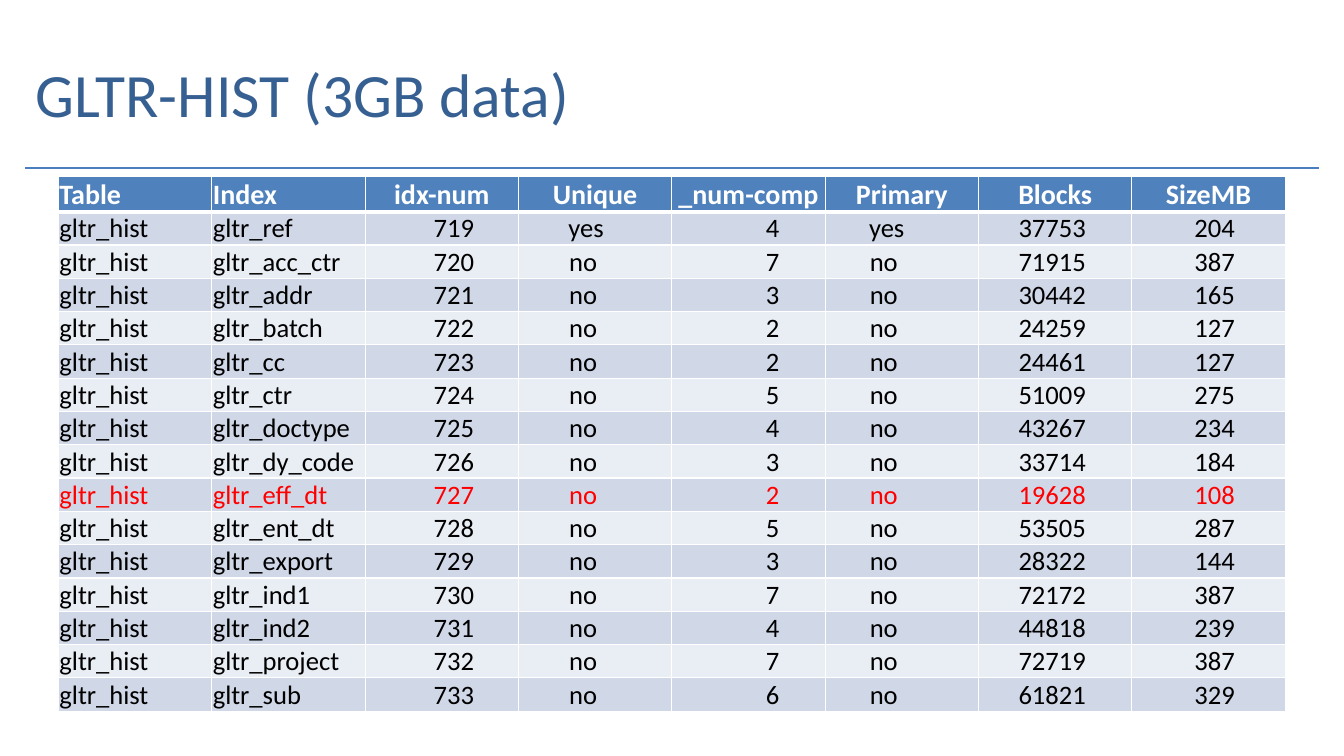
"""Build the GLTR-HIST index size slide."""
import pptx
import pptx.dml.color
import pptx.enum.text
import pptx.oxml
import pptx.oxml.ns
import pptx.util

TITLE = "GLTR-HIST (3GB data)"
TABLE_NAME = "gltr_hist"
HIGHLIGHTED_INDEX = "gltr_eff_dt"
FIRST_INDEX_NUMBER = 719
HEADERS = ["Table", "Index", "idx-num", "Unique", "_num-comp", "Primary", "Blocks", "SizeMB"]
INDEXES = [
    ("gltr_ref", "yes", 4, "yes", 37753, 204),
    ("gltr_acc_ctr", "no", 7, "no", 71915, 387),
    ("gltr_addr", "no", 3, "no", 30442, 165),
    ("gltr_batch", "no", 2, "no", 24259, 127),
    ("gltr_cc", "no", 2, "no", 24461, 127),
    ("gltr_ctr", "no", 5, "no", 51009, 275),
    ("gltr_doctype", "no", 4, "no", 43267, 234),
    ("gltr_dy_code", "no", 3, "no", 33714, 184),
    ("gltr_eff_dt", "no", 2, "no", 19628, 108),
    ("gltr_ent_dt", "no", 5, "no", 53505, 287),
    ("gltr_export", "no", 3, "no", 28322, 144),
    ("gltr_ind1", "no", 7, "no", 72172, 387),
    ("gltr_ind2", "no", 4, "no", 44818, 239),
    ("gltr_project", "no", 7, "no", 72719, 387),
    ("gltr_sub", "no", 6, "no", 61821, 329),
]

THEME = {
    "font": "Calibri",
    "title_size": 44, "header_size": 20, "body_size": 19,
    "title": "376092", "rule": "4B7EBC", "header_fill": "4F81BD",
    "bands": ("D0D8E8", "E9EDF4"),
    "header_text": "FFFFFF", "body_text": "000000", "highlight": "FF0000",
    "border": "FFFFFF", "border_width": 1, "header_border_width": 3,
}

SLIDE_SIZE = (13.33, 7.5)
TITLE_BOX = (0.25, 0.3, 11.75, 1.25)
TABLE_BOX = (0.58, 1.75, 12.17, 5.25)
RULE = (0.25, 1.67, 13.08, 1.67)
HEADER_HEIGHT = 0.34
CELL_MARGIN = 0.01
LEFT_INDENT = {"idx-num": 0.24, "_num-comp": 0.48, "SizeMB": 0.12}
RIGHT_INDENT = {"Unique": 0.18, "Primary": 0.3, "Blocks": 0.06}
SHORT_WORD_INDENT = 0.06


def inches(values):
    return [pptx.util.Inches(value) for value in values]


def color(name):
    return pptx.dml.color.RGBColor.from_string(name)


def apply(target, formats):
    for name, value in formats.items():
        setattr(target, name, value)


def style_text(paragraph, size, text_color, centered, bold=False):
    alignment = pptx.enum.text.PP_ALIGN
    paragraph.alignment = alignment.CENTER if centered else alignment.LEFT
    font = paragraph.runs[0].font
    apply(font, {"name": THEME["font"], "size": pptx.util.Pt(size), "bold": bold})
    font.color.rgb = color(text_color)


def add_borders(cell, row):
    widths = dict.fromkeys(("lnL", "lnR", "lnT", "lnB"), THEME["border_width"])
    if row < 2:
        widths["lnT" if row else "lnB"] = THEME["header_border_width"]
    properties = cell._tc.get_or_add_tcPr()
    for position, (edge, width) in enumerate(widths.items()):
        properties.insert(position, pptx.oxml.parse_xml(
            f'<a:{edge} {pptx.oxml.ns.nsdecls("a")} w="{pptx.util.Pt(width)}">'
            f'<a:solidFill><a:srgbClr val="{THEME["border"]}"/></a:solidFill></a:{edge}>'))


def fill_cell(cell, row, column, value, highlighted):
    header = HEADERS[column]
    left, right = CELL_MARGIN, CELL_MARGIN
    if row:
        left += LEFT_INDENT.get(header, 0)
        right += RIGHT_INDENT.get(header, 0) + SHORT_WORD_INDENT * (value == "no")
        size, fill = THEME["body_size"], THEME["bands"][(row - 1) % 2]
        text_color = THEME["highlight" if highlighted else "body_text"]
    else:
        size, fill, text_color = (THEME[key] for key in ("header_size", "header_fill", "header_text"))
    cell.text = str(value)
    apply(cell, {
        "margin_left": pptx.util.Inches(left),
        "margin_right": pptx.util.Inches(right),
        "margin_top": pptx.util.Inches(CELL_MARGIN),
        "margin_bottom": 0,
        "vertical_anchor": pptx.enum.text.MSO_ANCHOR.BOTTOM,
    })
    cell.fill.solid()
    cell.fill.fore_color.rgb = color(fill)
    style_text(cell.text_frame.paragraphs[0], size, text_color, column > 1, row == 0)
    add_borders(cell, row)


def add_title(slide):
    title = slide.shapes.title
    apply(title, dict(zip(("left", "top", "width", "height"), inches(TITLE_BOX))))
    title.text_frame.text = TITLE
    title.text_frame.vertical_anchor = pptx.enum.text.MSO_ANCHOR.MIDDLE
    style_text(title.text_frame.paragraphs[0], THEME["title_size"], THEME["title"], False)


def add_rule(slide):
    rule = slide.shapes.add_connector(pptx.enum.shapes.MSO_CONNECTOR.STRAIGHT, *inches(RULE))
    rule.line.color.rgb = color(THEME["rule"])
    rule.line.width = pptx.util.Pt(1.5)
    rule._element.spPr.append(pptx.oxml.parse_xml(
        f'<a:effectLst {pptx.oxml.ns.nsdecls("a")}/>'))


def add_index_table(slide):
    rows = [HEADERS] + [
        (TABLE_NAME, name, FIRST_INDEX_NUMBER + offset, *details)
        for offset, (name, *details) in enumerate(INDEXES)]
    table = slide.shapes.add_table(len(rows), len(HEADERS), *inches(TABLE_BOX)).table
    body_height = (TABLE_BOX[3] - HEADER_HEIGHT) / len(INDEXES)
    for column in table.columns:
        column.width = pptx.util.Inches(TABLE_BOX[2] / len(HEADERS))
    for row, values in enumerate(rows):
        table.rows[row].height = pptx.util.Inches(body_height if row else HEADER_HEIGHT)
        for column, value in enumerate(values):
            fill_cell(table.cell(row, column), row, column, value, values[1] == HIGHLIGHTED_INDEX)


def main():
    presentation = pptx.Presentation()
    apply(presentation, dict(zip(("slide_width", "slide_height"), inches(SLIDE_SIZE))))
    slide = presentation.slides.add_slide(presentation.slide_layouts.get_by_name("Title Only"))
    add_rule(slide)
    add_title(slide)
    add_index_table(slide)
    presentation.save("out.pptx")


if __name__ == "__main__":
    main()
